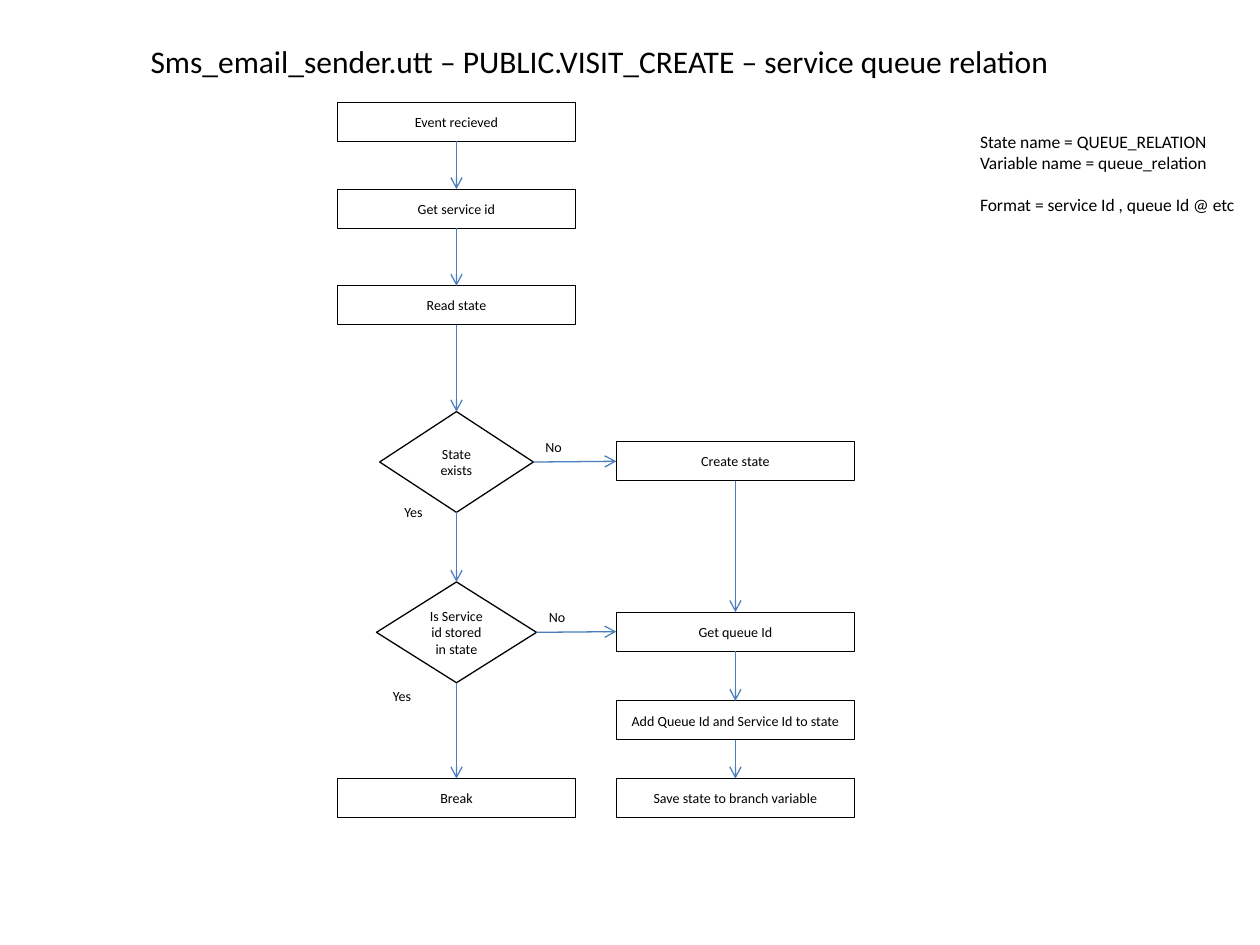
from collections import namedtuple

from lxml.etree import SubElement
from pptx import Presentation
from pptx.dml.color import RGBColor
from pptx.enum.shapes import MSO_CONNECTOR as Connector, MSO_SHAPE as Shape
from pptx.enum.text import MSO_ANCHOR as Anchor, MSO_AUTO_SIZE as AutoSize, PP_ALIGN as Align
from pptx.oxml.ns import qn
from pptx.util import Inches, Pt

COLORS = {"ink": "000000", "paper": "FFFFFF", "arrow": "4B7EBC"}
FONT = "Calibri"
PAGE_WIDTH, PAGE_HEIGHT = 10, 7.5
TOP, LEFT, BOTTOM, RIGHT = range(4)  # connection sites of rectangles and diamonds

Box = namedtuple("Box", "left top width height")

# Flowchart columns and rows are percentages of the chart box.
COLUMNS = {"main": 23, "side": 77}
STEP_SIZE = (1.89, 0.31)
STEPS = [
    ("Event recieved", "main", 2.75),
    ("Get service id", "main", 14.9),
    ("Read state", "main", 28.4),
    ("Break", "main", 97.25),
    ("Create state", "side", 50.2),
    ("Get queue Id", "side", 74),
    ("Add Queue Id and Service Id to state", "side", 86.4),
    ("Save state to branch variable", "side", 97.25),
]
DECISIONS = [
    ("State exists", "main", 50.3, (1.22, 0.8)),
    ("Is Service id stored in state", "main", 74.1, (1.27, 0.8)),
]
FLOWS = [
    ["Event recieved", "Get service id", "Read state", "State exists",
     "Is Service id stored in state", "Break"],
    ["Create state", "Get queue Id", "Add Queue Id and Service Id to state",
     "Save state to branch variable"],
]
BRANCHES = [("State exists", "Create state"),
            ("Is Service id stored in state", "Get queue Id")]
ANSWERS = [("Yes", 10.5, 55.3), ("No", 37.8, 46.1), ("No", 38.5, 69.9), ("Yes", 8.3, 81)]


def color(name):
    return RGBColor.from_string(COLORS[name])


def write(frame, paragraphs, size=8, align=Align.LEFT, anchor=Anchor.TOP, wrap=True, gaps=()):
    """Fill a text frame; gaps holds the indexes of paragraphs preceded by one line of space."""
    frame.word_wrap = wrap
    frame.vertical_anchor = anchor
    for index, text in enumerate(paragraphs):
        para = frame.paragraphs[0] if index == 0 else frame.add_paragraph()
        para.alignment = align
        if index in gaps:
            para.space_before = Pt(size * 1.22)
        span = para.add_run()
        span.text = text
        span.font.name = FONT
        span.font.size = Pt(size)
        span.font.color.rgb = color("ink")


def add_label(page, box, paragraphs, **text_format):
    label = page.shapes.add_textbox(*map(Inches, box))
    write(label.text_frame, paragraphs, wrap=False, **text_format)
    label.text_frame.auto_size = AutoSize.SHAPE_TO_FIT_TEXT


def add_node(page, kind, box, text, line_width):
    node = page.shapes.add_shape(kind, *map(Inches, box))
    node.shadow.inherit = False
    node.fill.solid()
    node.fill.fore_color.rgb = color("paper")
    node.line.color.rgb = color("ink")
    node.line.width = Pt(line_width)
    write(node.text_frame, [text], align=Align.CENTER, anchor=Anchor.MIDDLE)
    return node


def add_arrow(page, start, start_site, end, end_site):
    arrow = page.shapes.add_connector(Connector.STRAIGHT, 0, 0, 0, 0)
    arrow.begin_connect(start, start_site)
    arrow.end_connect(end, end_site)
    arrow.line.color.rgb = color("arrow")
    arrow.line.width = Pt(0.75)
    SubElement(arrow.line._get_or_add_ln(), qn("a:tailEnd"), type="arrow")
    SubElement(arrow._element.spPr, qn("a:effectLst"))


def place_title(page, box, text):
    title = page.shapes.title
    title.left, title.top, title.width, title.height = map(Inches, box)
    write(title.text_frame, [text], size=18, align=Align.CENTER, anchor=Anchor.MIDDLE)


def place_flowchart(page, box):
    def point(across, down):
        return box.left + box.width * across / 100, box.top + box.height * down / 100

    def centred(column, row, size):
        x, y = point(COLUMNS[column], row)
        width, height = size
        return Box(x - width / 2, y - height / 2, width, height)

    nodes = {}
    for text, column, row in STEPS:
        nodes[text] = add_node(page, Shape.RECTANGLE, centred(column, row, STEP_SIZE), text, 0.5)
    for text, column, row, size in DECISIONS:
        nodes[text] = add_node(page, Shape.FLOWCHART_DECISION, centred(column, row, size), text, 0.75)
    for flow in FLOWS:
        for start, end in zip(flow, flow[1:]):
            add_arrow(page, nodes[start], BOTTOM, nodes[end], TOP)
    for start, end in BRANCHES:
        add_arrow(page, nodes[start], RIGHT, nodes[end], LEFT)
    for text, across, down in ANSWERS:
        width = 0.36 if text == "Yes" else 0.33
        add_label(page, Box(*point(across, down), width, 0.24), [text])


def place_state_note(page, box):
    add_label(page, box, [
        "State name = QUEUE_RELATION",
        "Variable name = queue_relation",
        "Format = service Id , queue Id @ etc",
    ], size=10, gaps=[2])


def main():
    deck = Presentation()
    deck.slide_width, deck.slide_height = Inches(PAGE_WIDTH), Inches(PAGE_HEIGHT)
    page = deck.slides.add_slide(deck.slide_layouts[0])
    subtitle = page.placeholders[1].element
    subtitle.getparent().remove(subtitle)
    place_title(page, Box(0.51, 0.21, 8.5, 0.55),
                "Sms_email_sender.utt – PUBLIC.VISIT_CREATE – service queue relation")
    place_flowchart(page, Box(2.68, 0.81, 4.1, 5.68))
    place_state_note(page, Box(7.68, 0.99, 2.25, 0.77))
    deck.save("out.pptx")


if __name__ == "__main__":
    main()
